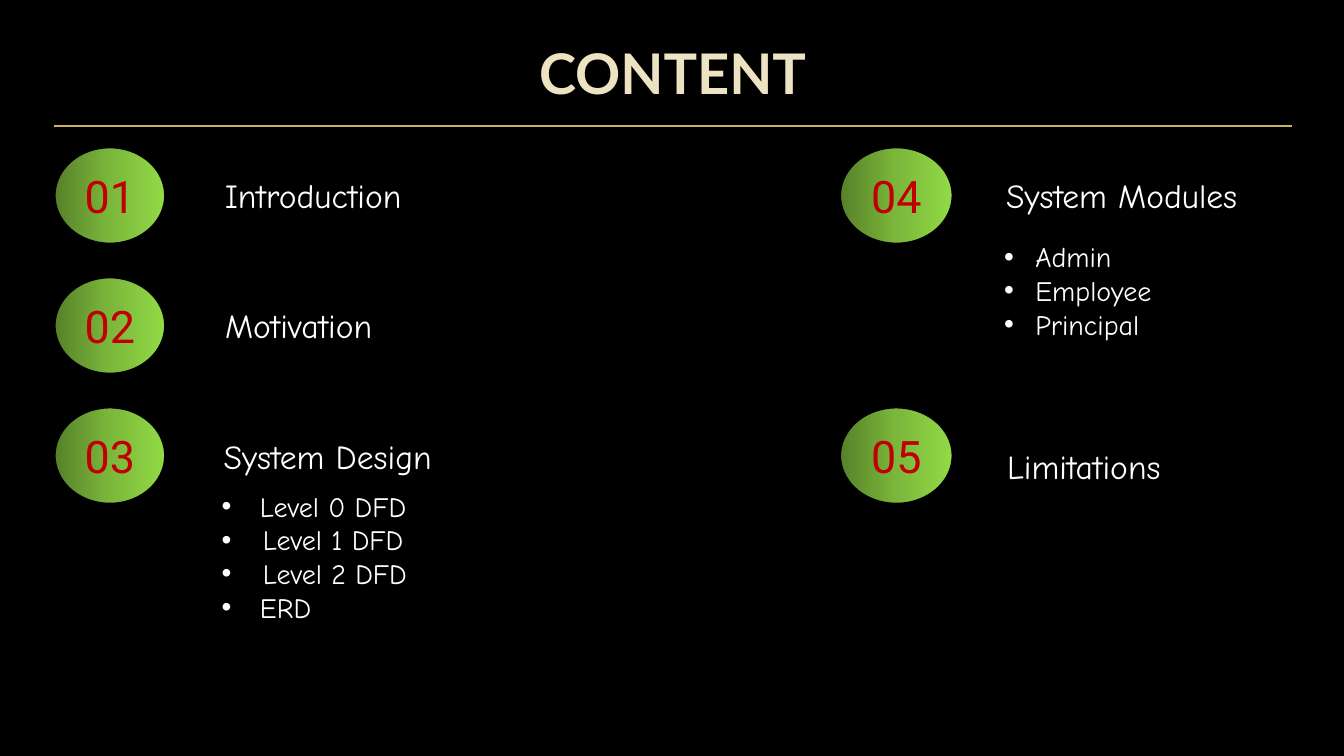
from copy import deepcopy

from lxml import etree
from pptx import Presentation
from pptx.dml.color import RGBColor
from pptx.enum import shapes, text
from pptx.oxml import ns
from pptx.util import Inches, Pt

BLACK = RGBColor(0x00, 0x00, 0x00)
WHITE = RGBColor(0xFF, 0xFF, 0xFF)
CREAM = RGBColor(0xED, 0xE3, 0xC3)
GOLD = RGBColor(0xCA, 0xB2, 0x63)
RED = RGBColor(0xC0, 0x00, 0x00)
GREENS = [
    (0, RGBColor(0x57, 0x81, 0x2A)),
    (0.5, RGBColor(0x7B, 0xB7, 0x3B)),
    (1, RGBColor(0x92, 0xDA, 0x46)),
]

TITLE_FONT = {"name": "Lato", "size": Pt(40), "bold": True}
NUMBER_FONT = {"name": "Roboto", "size": Pt(32)}
TOPIC_FONT = {"name": "Comic Neue", "size": Pt(24)}
DETAIL_FONT = {"name": "Comic Neue", "size": Pt(20)}

TITLE = ("CONTENT", (1.01, 0.19, 11.32, 1.06))
TOPICS = [
    ("Introduction", (2.1, 1.62, 2.61, 0.63)),
    ("Motivation", (2.1, 2.88, 2.85, 0.69)),
    ("System Design", (2.09, 4.21, 2.88, 0.62)),
    ("System Modules", (9.86, 1.73, 2.98, 0.42)),
    ("Limitations", (9.86, 4.31, 2.73, 0.63)),
]
BADGES = [(0, 0), (0, 1), (0, 2), (1, 0), (1, 2)]
BADGE_COLUMNS = [(0.54, 1.1), (8.33, 1.12)]
BADGE_TOP, BADGE_HEIGHT, BADGE_STEP = 1.46, 0.96, 1.29
DETAILS = [
    ((2.1, 4.86, 2.78, 1.32), [
        ("Level 0 DFD", 0.38),
        ("Level 1 DFD", 0.41),
        ("Level 2 DFD", 0.41),
        ("ERD", 0.38),
    ]),
    ((9.86, 2.25, 2.01, 1.26), [
        ("Admin", 0.31),
        ("Employee", 0.31),
        ("Principal", 0.31),
    ]),
]


def place(values):
    return [Inches(value) for value in values]


def write(para, words, font, color, align=text.PP_ALIGN.LEFT):
    para.alignment = align
    span = para.add_run()
    span.text = words
    for name, value in font.items():
        setattr(span.font, name, value)
    span.font.color.rgb = color


def center_vertically(box):
    box.text_frame.word_wrap = True
    box.text_frame.vertical_anchor = text.MSO_ANCHOR.MIDDLE
    return box.text_frame


def add_text_box(page, area):
    return center_vertically(page.shapes.add_textbox(*place(area)))


def add_badge(page, number, column, row):
    left, width = BADGE_COLUMNS[column]
    top = BADGE_TOP + row * BADGE_STEP
    badge = page.shapes.add_shape(
        shapes.MSO_SHAPE.OVAL, *place((left, top, width, BADGE_HEIGHT)))
    badge.shadow.inherit = False
    badge.fill.gradient()
    badge.fill.gradient_angle = 0
    stop_list = badge._element.spPr.find(".//" + ns.qn("a:gsLst"))
    stop_list.append(deepcopy(stop_list[0]))
    for stop, (position, color) in zip(badge.fill.gradient_stops, GREENS):
        stop.position = position
        stop.color.rgb = color
    badge.line.color.rgb = BLACK
    badge.line.width = Pt(1.75)
    frame = center_vertically(badge)
    write(frame.paragraphs[0], f"{number:02}", NUMBER_FONT, RED,
          text.PP_ALIGN.CENTER)


def add_topic(page, words, area):
    topic = page.shapes.add_shape(
        shapes.MSO_SHAPE.ROUNDED_RECTANGLE, *place(area))
    topic.shadow.inherit = False
    topic.fill.background()
    topic.line.fill.background()
    write(center_vertically(topic).paragraphs[0], words, TOPIC_FONT, WHITE)


def add_details(page, area, items):
    frame = add_text_box(page, area)
    for index, (words, indent) in enumerate(items):
        para = frame.add_paragraph() if index else frame.paragraphs[0]
        properties = para._p.get_or_add_pPr()
        properties.set("marL", str(Inches(indent)))
        properties.set("indent", str(-Inches(indent)))
        bullet_font = etree.SubElement(properties, ns.qn("a:buFont"))
        bullet_font.set("typeface", "Arial")
        bullet = etree.SubElement(properties, ns.qn("a:buChar"))
        bullet.set("char", "•")
        write(para, words, DETAIL_FONT, WHITE)


def main():
    deck = Presentation()
    deck.slide_width, deck.slide_height = place((13.33, 7.5))
    page = deck.slides.add_slide(deck.slide_layouts[6])
    page.background.fill.solid()
    page.background.fill.fore_color.rgb = BLACK

    words, area = TITLE
    write(add_text_box(page, area).paragraphs[0], words, TITLE_FONT, CREAM,
          text.PP_ALIGN.CENTER)

    rule = page.shapes.add_connector(
        shapes.MSO_CONNECTOR.STRAIGHT, *place((0.54, 1.25, 12.81, 1.25)))
    rule.line.color.rgb = GOLD
    rule.line.width = Pt(0.75)
    etree.SubElement(rule._element.spPr, ns.qn("a:effectLst"))

    for number, (column, row) in enumerate(BADGES, start=1):
        add_badge(page, number, column, row)
    for words, area in TOPICS:
        add_topic(page, words, area)
    for area, items in DETAILS:
        add_details(page, area, items)

    deck.save("out.pptx")


if __name__ == "__main__":
    main()
